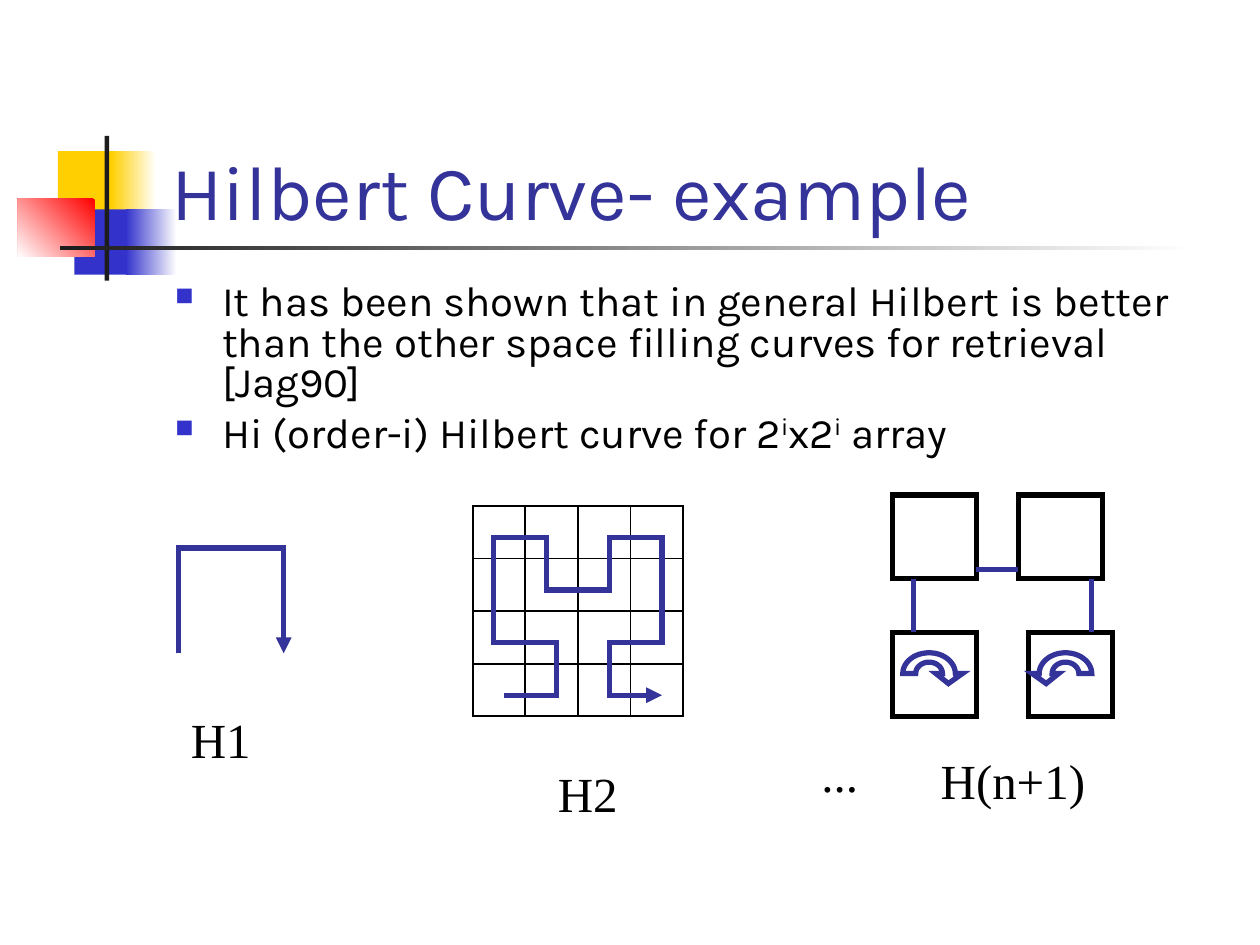
from math import cos, pi, sin

from lxml.etree import SubElement
from pptx import Presentation
from pptx.dml.color import RGBColor
from pptx.enum.shapes import MSO_CONNECTOR as Connector, MSO_SHAPE as Preset
from pptx.enum.text import MSO_ANCHOR as Anchor, MSO_AUTO_SIZE as AutoSize, PP_ALIGN as Align
from pptx.oxml.ns import qn
from pptx.util import Cm, Pt

COLORS = {"yellow": "FFCF01", "blue": "3333CC", "red": "FF0000", "dark": "1C1C1C",
          "white": "FFFFFF", "black": "000000", "navy": "333399"}

# Content; all lengths in centimetres
TITLE = "Hilbert Curve- example"
BULLETS = [  # each bullet is a list of (text, is superscript)
    [("It has been shown that in general Hilbert is better than the other "
      "space filling curves for retrieval [Jag90]", False)],
    [("Hi (order-i) Hilbert curve for 2", False), ("i", True), ("x2", False),
     ("i", True), (" array", False)],
]
LABELS = [("H1", 3.6, 14.17, 1.7), ("H2", 11, 15.27, 1.7),
          ("...", 16.31, 14.86, 1.24), ("H(n+1)", 18.72, 14.99, 3.4)]
LABEL_HEIGHT = 1.45
DECORATION = [  # box, colours (one is solid, two a gradient), gradient angle
    ((1.17, 3.05, 1.22, 1.32), ["yellow"], 0),
    ((2.24, 3.05, 0.91, 1.32), ["white", "yellow"], 180),
    ((1.5, 4.22, 1.17, 1.32), ["blue"], 0),
    ((2.54, 4.22, 1.02, 1.32), ["white", "blue"], 180),
    ((0.36, 4.01, 1.55, 1.17), ["red", "white"], 225),
    ((2.11, 2.74, 0.09, 2.92), ["dark"], 0),
    ((1.22, 4.95, 22.86, 0.09), ["white", "dark"], 180),
]
H1_CURVE = [(3.6, 13.17), (3.6, 11.05), (5.72, 11.05), (5.72, 13.17)]
GRID_LEFT, GRID_TOP, CELL, GRID_COUNT = 9.53, 10.2, 1.06, 4
H2_CURVE = [  # in cells from the grid corner
    (0.6, 3.6), (1.6, 3.6), (1.6, 2.6), (0.4, 2.6), (0.4, 0.6), (1.4, 0.6), (1.4, 1.6),
    (2.6, 1.6), (2.6, 0.6), (3.6, 0.6), (3.6, 2.6), (2.6, 2.6), (2.6, 3.6), (3.6, 3.6)]
QUADRANT = 1.69
QUADRANTS = [(20.74, 12.75), (17.99, 12.75), (20.53, 9.98), (17.99, 9.98)]
LINKS = [(18.42, 12.75, 18.42, 11.67), (19.68, 11.48, 20.53, 11.48),
         (22.01, 12.75, 22.01, 11.67)]
TURNS = [(18.73, 1), (21.48, -1)]  # centre, direction
TURN_TOP = 13.58
ARROWHEAD = [(0.67, 0), (0.39, 0.2), (0.14, 0)]


def color(name):
    return RGBColor.from_string(COLORS[name])


def outline(shape, name, width):
    """Colour the line, give it sharp corners and return its element."""
    shape.line.color.rgb = color(name)
    shape.line.width = Pt(width)
    line = shape._element.spPr.find(qn("a:ln"))
    SubElement(line, qn("a:miter"), lim="800000")
    return line


def add_box(shapes, box, fills=(), angle=0, line=None, width=1):
    shape = shapes.add_shape(Preset.RECTANGLE, *map(Cm, box))
    shape.shadow.inherit = False
    if len(fills) == 2:
        shape.fill.gradient()
        shape.fill.gradient_angle = angle
        for stop, name in zip(shape.fill.gradient_stops, fills):
            stop.color.rgb = color(name)
    elif fills:
        shape.fill.solid()
        shape.fill.fore_color.rgb = color(fills[0])
    else:
        shape.fill.background()
    if line:
        outline(shape, line, width)
    else:
        shape.line.fill.background()


def add_path(shapes, points, closed=False, arrow=False):
    points = [(Cm(x), Cm(y)) for x, y in points]
    builder = shapes.build_freeform(*points[0], scale=1.0)
    builder.add_line_segments(points[1:], close=closed)
    shape = builder.convert_to_shape()
    shape.shadow.inherit = False
    shape.fill.background()
    line = outline(shape, "navy", 3)
    if arrow:
        SubElement(line, qn("a:tailEnd"), type="triangle")


def add_run(paragraph, text, font="Karla", size=24, name="black", superscript=False):
    run = paragraph.add_run()
    run.text = text
    run.font.name, run.font.size = font, Pt(size)
    run.font.color.rgb = color(name)
    if superscript:
        run.font._element.set("baseline", "30000")


def add_bullet_format(paragraph):
    paragraph.line_spacing = 0.8
    paragraph.space_before = Pt(6)
    properties = paragraph._p.get_or_add_pPr()
    properties.set("marL", str(Cm(0.95)))
    properties.set("indent", str(-Cm(0.95)))
    bullet_color = SubElement(properties, qn("a:buClr"))
    SubElement(bullet_color, qn("a:srgbClr"), val=COLORS["blue"])
    SubElement(properties, qn("a:buSzPct"), val="60000")
    SubElement(properties, qn("a:buChar"), char="■")


def arc(radius_x, radius_y, steps=24):
    """Half ellipse over the origin, from left to right."""
    return [(-radius_x * cos(pi * i / steps), -radius_y * sin(pi * i / steps))
            for i in range(steps + 1)]


presentation = Presentation()
presentation.slide_width, presentation.slide_height = Cm(25.4), Cm(19.05)
slide = presentation.slides.add_slide(presentation.slide_layouts[5])
shapes = slide.shapes

# Corner decoration
for box, fills, angle in DECORATION:
    add_box(shapes, box, fills, angle)

# Title, placed in front of the decoration
title = shapes.title
shapes._spTree.append(title._element)
title.left, title.top, title.width, title.height = map(Cm, (3.2, 1.7, 21.64, 3.18))
frame = title.text_frame
frame.auto_size = AutoSize.NONE
frame.vertical_anchor = Anchor.BOTTOM
frame.paragraphs[0].alignment = Align.LEFT
add_run(frame.paragraphs[0], TITLE, size=44, name="navy")

# Bullets
frame = shapes.add_textbox(*map(Cm, (3.28, 5.61, 21.59, 3.91))).text_frame
frame.word_wrap = True
for index, runs in enumerate(BULLETS):
    paragraph = frame.add_paragraph() if index else frame.paragraphs[0]
    add_bullet_format(paragraph)
    for text, superscript in runs:
        add_run(paragraph, text, superscript=superscript)

# H2: grid with its curve
group = shapes.add_group_shape().shapes
for row in range(GRID_COUNT):
    for column in range(GRID_COUNT):
        add_box(group, (GRID_LEFT + column * CELL, GRID_TOP + row * CELL, CELL, CELL),
                line="black")
add_path(group, [(GRID_LEFT + x * CELL, GRID_TOP + y * CELL) for x, y in H2_CURVE],
         arrow=True)

# H1
add_path(shapes, H1_CURVE, arrow=True)

# H(n+1): quadrants, links and turning arrows
for left, top in QUADRANTS:
    add_box(shapes, (left, top, QUADRANT, QUADRANT), line="black", width=3)
for ends in LINKS:
    link = shapes.add_connector(Connector.STRAIGHT, *map(Cm, ends))
    outline(link, "navy", 3)
    SubElement(link._element.spPr, qn("a:effectLst"))
turn_outline = arc(0.53, 0.42) + ARROWHEAD + arc(0.27, 0.23)[::-1]
for center, direction in TURNS:
    add_path(shapes, [(center + direction * x, TURN_TOP + y) for x, y in turn_outline],
             closed=True)

# Labels, each on one line in a box that fits its text
for text, left, top, width in LABELS:
    frame = shapes.add_textbox(*map(Cm, (left, top, width, LABEL_HEIGHT))).text_frame
    frame.word_wrap = False
    frame.auto_size = AutoSize.SHAPE_TO_FIT_TEXT
    frame.margin_left = frame.margin_right = Cm(0)
    frame.vertical_anchor = Anchor.MIDDLE
    frame.paragraphs[0].alignment = Align.CENTER
    add_run(frame.paragraphs[0], text, font="Times New Roman", size=28)

presentation.save("out.pptx")
